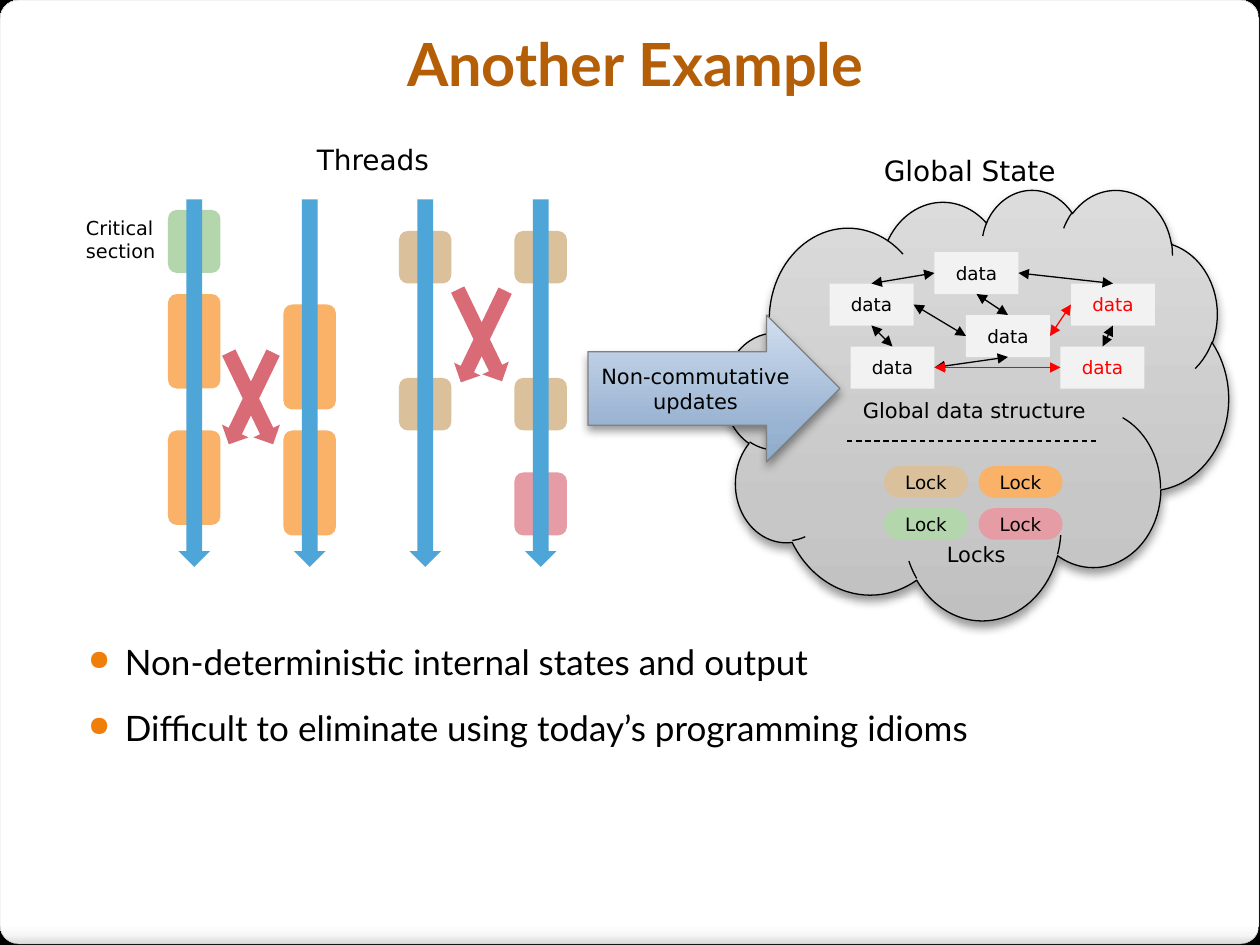
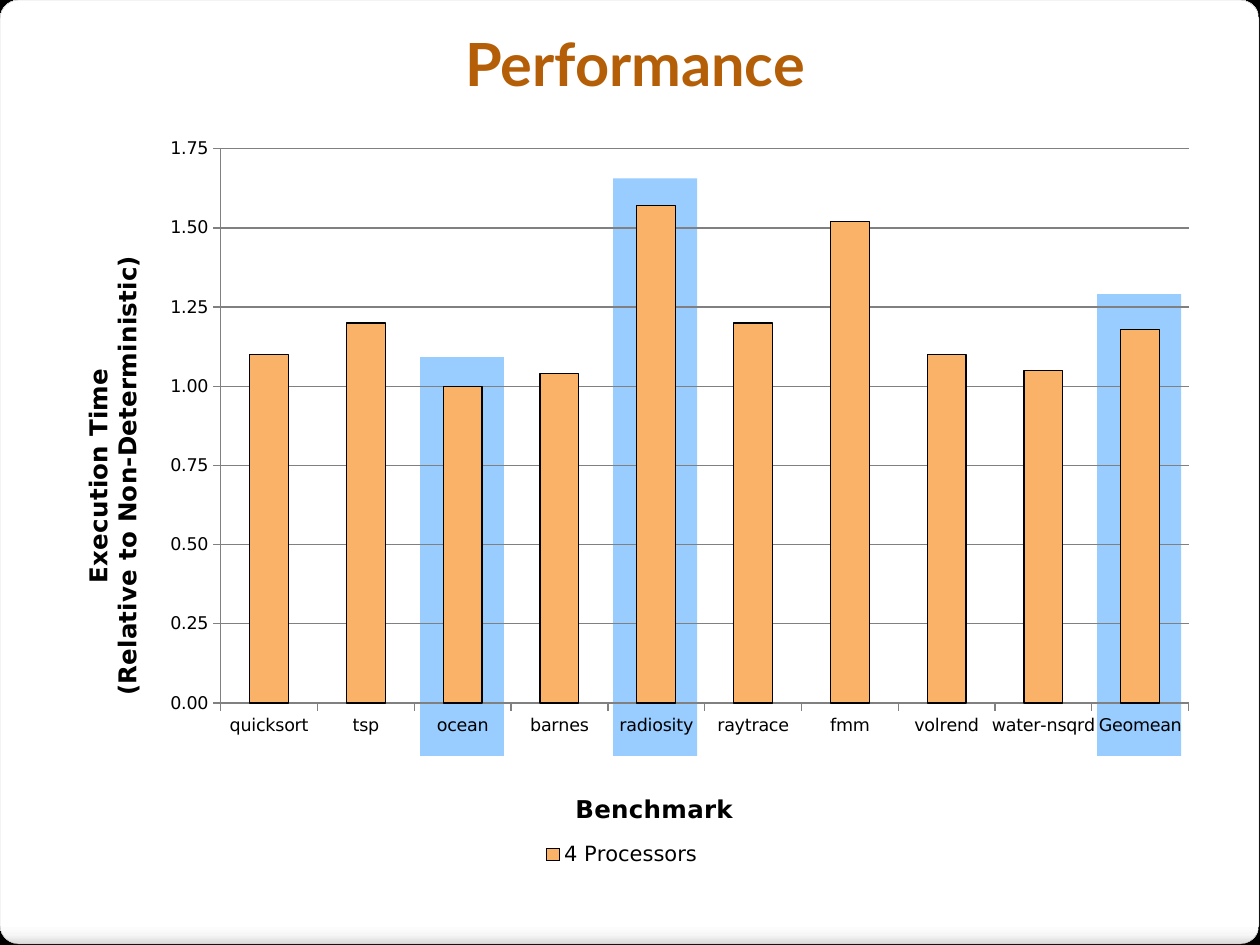
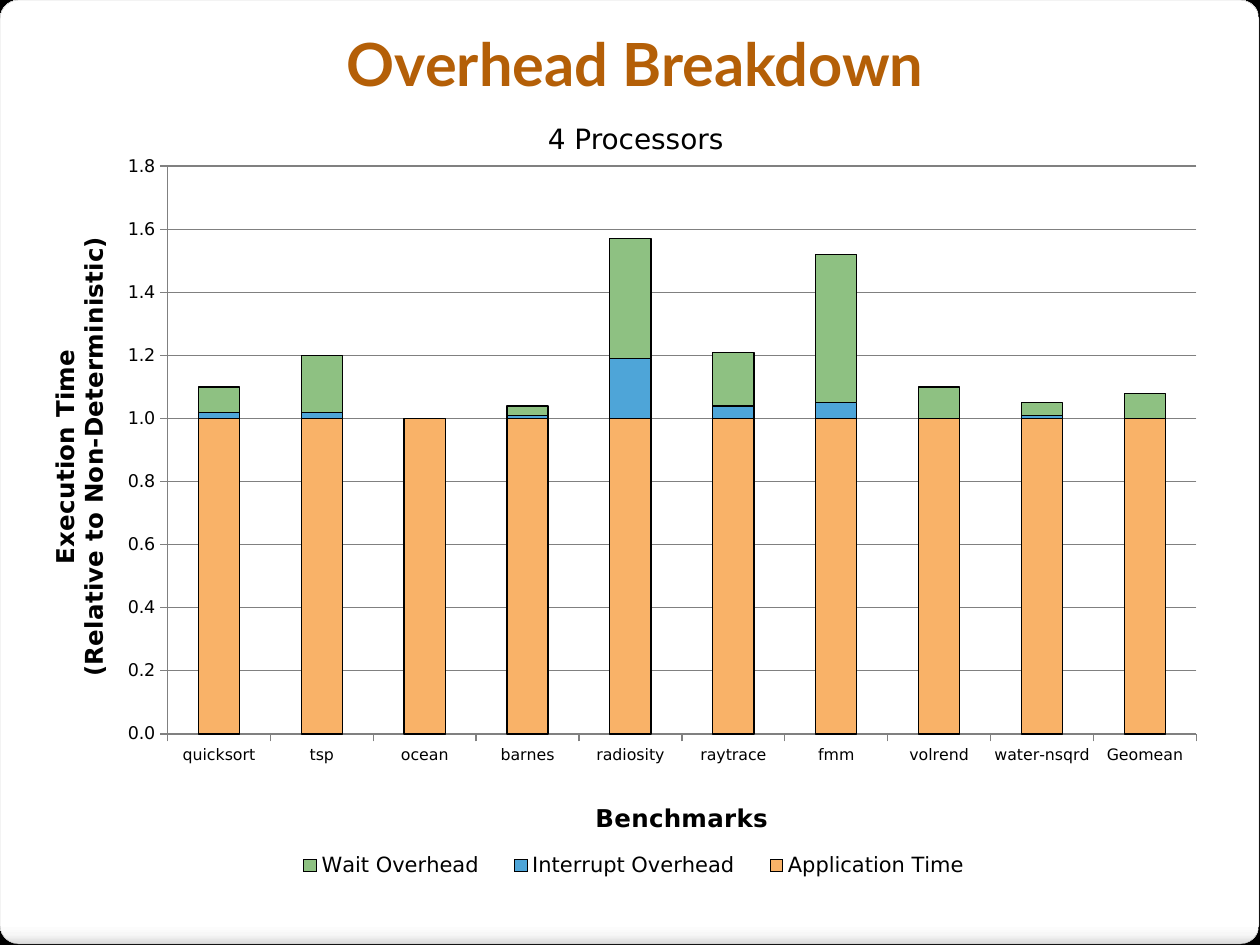
from lxml.etree import SubElement
from pptx import Presentation
from pptx.chart.data import CategoryChartData
from pptx.dml.color import RGBColor
from pptx.enum.chart import XL_CHART_TYPE, XL_LEGEND_POSITION, XL_TICK_MARK
from pptx.enum.dml import MSO_LINE
from pptx.enum.shapes import MSO_CONNECTOR, MSO_SHAPE
from pptx.enum.text import MSO_ANCHOR, MSO_AUTO_SIZE, PP_ALIGN
from pptx.oxml.ns import qn
from pptx.util import Pt

PX = 7620  # 120 px to the inch
SANS, LATO = "DejaVu Sans", "Lato"
BLACK = RGBColor(0x00, 0x00, 0x00)
RED = RGBColor(0xFF, 0x00, 0x00)
BROWN = RGBColor(0xB4, 0x5F, 0x07)
ORANGE = RGBColor(0xF9, 0xB2, 0x68)
GREEN = RGBColor(0xB3, 0xD6, 0xAC)
LEAF = RGBColor(0x8E, 0xC1, 0x82)
PINK = RGBColor(0xE6, 0x9C, 0xA4)
ROSE = RGBColor(0xD9, 0x6B, 0x77)
TAN = RGBColor(0xDA, 0xC1, 0x9B)
BLUE = RGBColor(0x4E, 0xA5, 0xD8)
SKY = RGBColor(0x99, 0xCC, 0xFF)
PALE = RGBColor(0xF2, 0xF2, 0xF2)
GREY = RGBColor(0x80, 0x80, 0x80)
EDGE = RGBColor(0xA4, 0xA4, 0xA4)
# Gradients run from bottom to top
SHEET = [(0, "DADADA"), (1, "F7F7F7"), (2, "FFFFFF"), (100, "FFFFFF")]
SMOKE = [(0, "C0C0C0"), (25, "C7C7C7"), (100, "DCDCDC")]
STEEL = [(0, "90ABCB"), (25, "99B3D2"), (100, "D1DEEE")]


def draw(slide, kind, box, fill, line=None, width=0.75, round=None):
    shape = slide.shapes.add_shape(kind, *[v * PX for v in box])
    shape.shadow.inherit = False
    if round is not None:
        shape.adjustments[0] = round
    if isinstance(fill, list):
        shape.fill.gradient()
        shape.fill.gradient_angle = 90
        stops = shape._element.spPr.find(".//" + qn("a:gsLst"))
        stops.clear()
        for place, color in fill:
            stop = SubElement(stops, qn("a:gs"), pos=str(place * 1000))
            SubElement(stop, qn("a:srgbClr"), val=color)
    else:
        shape.fill.solid()
        shape.fill.fore_color.rgb = fill
    if line is None:
        shape.line.fill.background()
    else:
        shape.line.color.rgb = line
        shape.line.width = Pt(width)
    return shape


def write(frame, text, size, color=BLACK, name=SANS, bold=False, align=PP_ALIGN.LEFT):
    frame.text = text
    look = {"size": Pt(size), "name": name, "bold": bold}
    for para in frame.paragraphs:
        para.alignment = align
        for key, value in look.items():
            setattr(para.font, key, value)
        para.font.color.rgb = color


deck = Presentation()
deck.slide_width, deck.slide_height = 1200 * PX, 900 * PX
back = deck.slide_master.background.fill
back.solid()
back.fore_color.rgb = BLACK

# Slides with white sheet and title
slides = []
for head in ("Another Example", "Performance", "Overhead Breakdown"):
    slide = deck.slides.add_slide(deck.slide_layouts[6])
    draw(slide, MSO_SHAPE.ROUNDED_RECTANGLE, (0, 0, 1199, 899), SHEET, EDGE, 0.16, 0.02)
    frame = slide.shapes.add_textbox(30 * PX, 20 * PX, 1150 * PX, 100 * PX).text_frame
    frame.word_wrap = True
    write(frame, head, 34, BROWN, LATO, True, PP_ALIGN.CENTER)
    slides.append(slide)
first, second, third = slides

# Bullets
frame = first.shapes.add_textbox(60 * PX, 590 * PX, 1080 * PX, 260 * PX).text_frame
frame.word_wrap = True
frame.margin_left, frame.margin_top = 24 * PX, 12 * PX
frame.text = ("Non-deterministic internal states and output\n"
              "Difficult to eliminate using today’s programming idioms")
for i, para in enumerate(frame.paragraphs):
    para.line_spacing = 1.2
    para.space_before, para.space_after = Pt(6 if i else 0), Pt(3)
    props = para._p.get_or_add_pPr()
    props.set("marL", str(35 * PX))
    props.set("indent", str(-35 * PX))
    SubElement(SubElement(props, qn("a:buClr")), qn("a:srgbClr"), val="F07F09")
    SubElement(props, qn("a:buSzPct"), val="80000")
    SubElement(props, qn("a:buChar"), char="●")
    para.font.size, para.font.name = Pt(20), LATO
    para.font.color.rgb = BLACK

# Threads: critical sections as (top, height, colour), then the arrow
threads = [
    [(200, 60, GREEN), (280, 90, ORANGE), (410, 90, ORANGE)],
    [(290, 100, ORANGE), (410, 100, ORANGE)],
    [(220, 50, TAN), (360, 50, TAN)],
    [(220, 50, TAN), (360, 50, TAN), (450, 60, PINK)],
]
for i, parts in enumerate(threads):
    left = 160 + 110 * i
    for top, high, color in parts:
        draw(first, MSO_SHAPE.ROUNDED_RECTANGLE, (left, top, 50, high), color)
    draw(first, MSO_SHAPE.DOWN_ARROW, (left + 10, 190, 30, 350), BLUE)

# Crossed arrows between threads
for left, top, turn in ((225, 331, 25.8), (225, 331, -25.8),
                        (446, 272, 25.8), (443, 271, -25.8)):
    cross = draw(first, MSO_SHAPE.DOWN_ARROW, (left, top, 28, 97), ROSE)
    cross.rotation = turn

# Cloud and update arrow
cloud = draw(first, MSO_SHAPE.CLOUD, (690, 180, 480, 410), SMOKE, BLACK)
update = draw(first, MSO_SHAPE.RIGHT_ARROW, (560, 300, 240, 140), STEEL, GREY)
write(update.text_frame, "Non-commutative updates", 12, align=PP_ALIGN.CENTER)
update.text_frame.vertical_anchor = MSO_ANCHOR.MIDDLE
for shape in (cloud, update):
    shade = SubElement(shape._element.spPr.find(qn("a:effectLst")), qn("a:outerShdw"),
                       blurRad="66000", dist="38100", dir="5400000", rotWithShape="0")
    SubElement(SubElement(shade, qn("a:srgbClr"), val="000000"), qn("a:alpha"), val="40000")

# Locks and data nodes
nodes = []
for left, top, high, text, fill, color, round in (
        (842, 444, 30, "Lock", TAN, BLACK, 0.5), (932, 444, 30, "Lock", ORANGE, BLACK, 0.5),
        (842, 484, 30, "Lock", GREEN, BLACK, 0.5), (932, 484, 30, "Lock", PINK, BLACK, 0.5),
        (790, 270, 40, "data", PALE, BLACK, 0), (890, 240, 40, "data", PALE, BLACK, 0),
        (920, 300, 40, "data", PALE, BLACK, 0), (810, 330, 40, "data", PALE, BLACK, 0),
        (1010, 330, 40, "data", PALE, RED, 0), (1020, 270, 40, "data", PALE, RED, 0)):
    node = draw(first, MSO_SHAPE.ROUNDED_RECTANGLE, (left, top, 80, high), fill, round=round)
    write(node.text_frame, text, 10.5, color, align=PP_ALIGN.CENTER)
    node.text_frame.vertical_anchor = MSO_ANCHOR.MIDDLE
    nodes.append(node)
west, north, mid, south, low, east = nodes[4:]

# Links between data nodes, and the dashed divider
TOP, LEFT, BOTTOM, RIGHT = range(4)
links = [
    (west, TOP, north, LEFT, BLACK), (mid, LEFT, west, RIGHT, BLACK),
    (south, TOP, west, BOTTOM, BLACK), (south, RIGHT, mid, BOTTOM, BLACK),
    (north, BOTTOM, mid, TOP, BLACK), (low, TOP, east, BOTTOM, BLACK),
    (north, RIGHT, east, TOP, BLACK), (mid, RIGHT, east, LEFT, RED),
    (south, RIGHT, low, LEFT, RED), (None, 0, None, 0, BLACK),
]
for start, out, end, into, color in links:
    link = first.shapes.add_connector(MSO_CONNECTOR.STRAIGHT,
                                      807 * PX, 420 * PX, 1047 * PX, 420 * PX)
    link.line.color.rgb = color
    link.line.width = Pt(0.75)
    SubElement(link._element.spPr, qn("a:effectLst"))
    if start is None:
        link.line.dash_style = MSO_LINE.DASH
        continue
    link.begin_connect(start, out)
    link.end_connect(end, into)
    for tip in ("a:headEnd", "a:tailEnd"):
        SubElement(link.line._get_or_add_ln(), qn(tip), type="triangle")

# Free labels
for slide, box, text, size, wrap in (
        (first, (290, 130, 150, 44), "Threads", 16, True),
        (first, (70, 200, 100, 56), "Critical section", 11, True),
        (first, (830, 140, 191, 44), "Global State", 16, False),
        (first, (810, 373, 239, 36), "Global data structure", 12, False),
        (first, (890, 510, 80, 36), "Locks", 12, False),
        (third, (510, 110, 300, 40), "4 Processors", 16, False)):
    frame = slide.shapes.add_textbox(*[v * PX for v in box]).text_frame
    frame.word_wrap = wrap
    if slide is first:
        frame.auto_size = MSO_AUTO_SIZE.SHAPE_TO_FIT_TEXT
    write(frame, text, size)

# Highlights behind the first chart
for left, top in ((1045, 280), (584, 170), (400, 340)):
    draw(second, MSO_SHAPE.RECTANGLE, (left, top, 80, 720 - top), SKY)

# Charts: places of plot, legend and axis titles are shares of the chart
NAMES = ["quicksort", "tsp", "ocean", "barnes", "radiosity", "raytrace", "fmm",
         "volrend", "water-nsqrd", "Geomean"]
charts = [
    dict(slide=second, box=(40, 90, 1127, 750), kind=XL_CHART_TYPE.COLUMN_CLUSTERED,
         label="Benchmark", size=10, form="0.00", top=1.75, step=0.25,
         plot=(0.151, 0.069, 0.818, 0.704), key=(0.42, 0.945, 0.14, 0.04),
         foot=(0.447, 0.88), side=(0.03, 0.2),
         rows=[("4 Processors", ORANGE,
                (1.1, 1.2, 1, 1.04, 1.57, 1.2, 1.52, 1.1, 1.05, 1.18))]),
    dict(slide=third, box=(0, 140, 1140, 730), kind=XL_CHART_TYPE.COLUMN_STACKED,
         label="Benchmarks", size=9, form="#,##0.0", top=1.8, step=0.2,
         plot=(0.14, 0.025, 0.86, 0.741), key=(0.23, 0.915, 0.6, 0.045),
         foot=(0.494, 0.848), side=(0.037, 0.112),
         rows=[("Application Time", ORANGE, (1,) * 10),
               ("Interrupt Overhead", BLUE,
                (0.02, 0.02, 0, 0.01, 0.19, 0.04, 0.05, 0, 0.01, 0)),
               ("Wait Overhead", LEAF,
                (0.08, 0.18, 0, 0.03, 0.38, 0.17, 0.47, 0.1, 0.04, 0.08))]),
]
for plan in charts:
    data = CategoryChartData()
    data.categories = NAMES
    for name, color, values in plan["rows"]:
        data.add_series(name, values)
    chart = plan["slide"].shapes.add_chart(
        plan["kind"], *[v * PX for v in plan["box"]], data).chart
    chart.has_title = False
    chart.font.size, chart.font.name = Pt(10), SANS
    chart.font.color.rgb = BLACK

    # Clear chart area
    area = chart._chartSpace.makeelement(qn("c:spPr"))
    SubElement(area, qn("a:noFill"))
    SubElement(SubElement(area, qn("a:ln")), qn("a:noFill"))
    chart._chartSpace.find(qn("c:chart")).addnext(area)

    # Bars
    plot = chart.plots[0]
    plot.vary_by_categories = False
    plot.gap_width = 150
    if plan["kind"] == XL_CHART_TYPE.COLUMN_STACKED:
        plot.overlap = 100
    for bars, (name, color, values) in zip(plot.series, plan["rows"]):
        bars.format.fill.solid()
        bars.format.fill.fore_color.rgb = color
        bars.format.line.color.rgb = BLACK
        bars.format.line.width = Pt(0.75)

    # Axes
    cats, vals = chart.category_axis, chart.value_axis
    for axis, text in ((cats, plan["label"]),
                       (vals, "Execution Time\n(Relative to Non-Deterministic)")):
        axis.major_tick_mark = XL_TICK_MARK.OUTSIDE
        axis.minor_tick_mark = XL_TICK_MARK.NONE
        axis.format.line.color.rgb = GREY
        axis.has_title = True
        write(axis.axis_title.text_frame, text, 14, bold=True, align=PP_ALIGN.CENTER)
    cats.tick_labels.font.size = Pt(plan["size"])
    vals.minimum_scale, vals.maximum_scale = 0, plan["top"]
    vals.major_unit = plan["step"]
    vals.has_major_gridlines = True
    vals.major_gridlines.format.line.color.rgb = GREY
    vals.tick_labels.number_format = plan["form"]
    vals.tick_labels.number_format_is_linked = False

    # Legend
    chart.has_legend = True
    chart.legend.position = XL_LEGEND_POSITION.RIGHT
    chart.legend.include_in_layout = False
    chart.legend.font.size = Pt(12)

    # Fixed places
    for part, spot, place in ((chart._chartSpace.find(".//" + qn("c:plotArea")), 0, "plot"),
                              (chart.legend._element, 1, "key"),
                              (cats.axis_title._element, 1, "foot"),
                              (vals.axis_title._element, 1, "side")):
        for old in part.findall(qn("c:layout")):
            part.remove(old)
        layout = part.makeelement(qn("c:layout"))
        part.insert(spot, layout)
        manual = SubElement(layout, qn("c:manualLayout"))
        if place == "plot":
            SubElement(manual, qn("c:layoutTarget"), val="inner")
        for mode in ("c:xMode", "c:yMode"):
            SubElement(manual, qn(mode), val="edge")
        for tag, share in zip("xywh", plan[place]):
            SubElement(manual, qn("c:" + tag), val=str(share))

deck.save("out.pptx")
